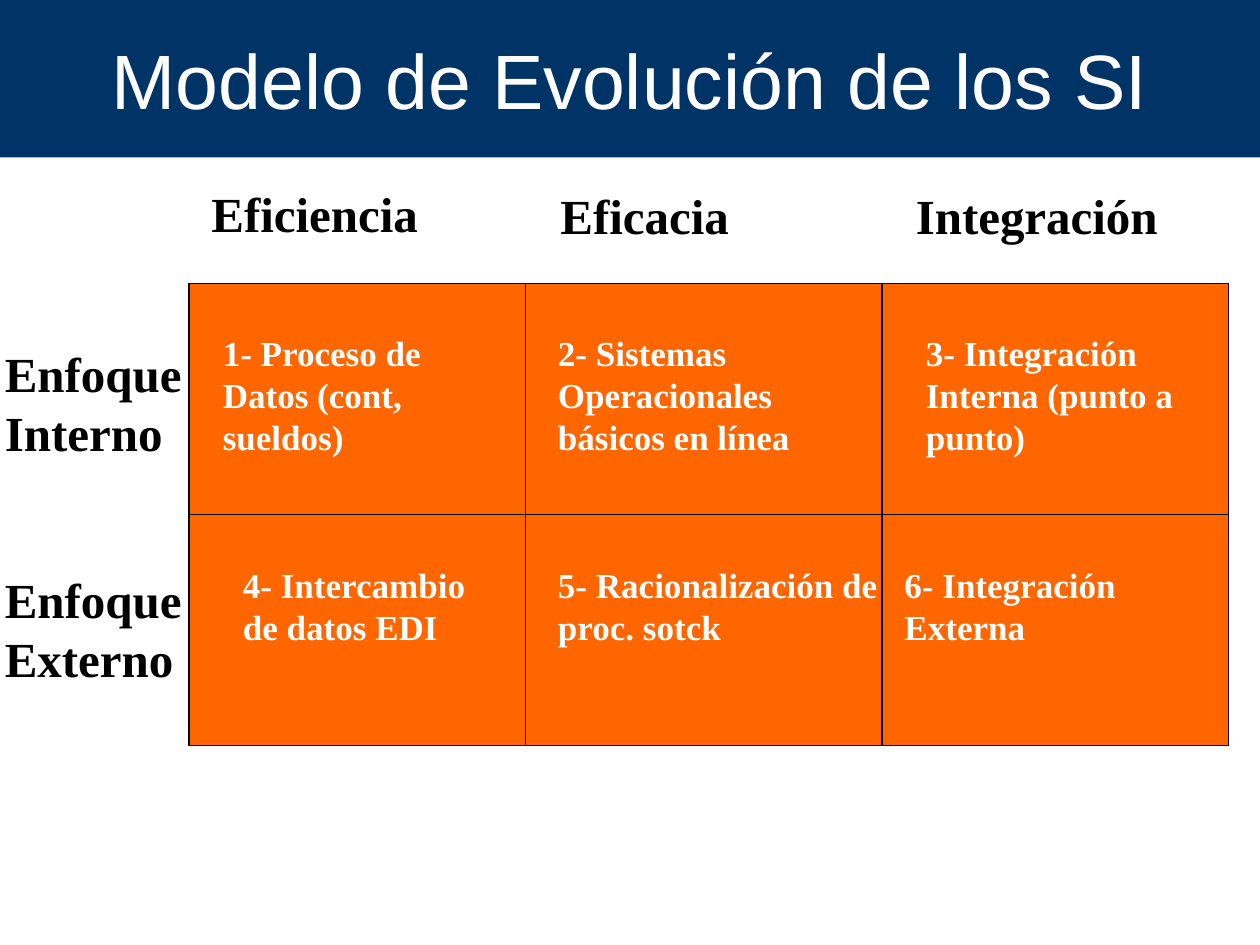
from lxml import etree
from pptx import Presentation
from pptx import util as u
from pptx.dml.color import RGBColor
from pptx.enum import shapes, text
from pptx.oxml.ns import qn

NAVY = RGBColor(0x00, 0x33, 0x66)
ORANGE = RGBColor(0xFF, 0x66, 0x00)
BLACK = RGBColor(0, 0, 0)
WHITE = RGBColor(0xFF, 0xFF, 0xFF)

TITLE = {"name": "Arial", "size": u.Pt(44), "bold": False}
HEADING = {"name": "Times New Roman", "size": u.Pt(28), "bold": True}
ENTRY = {"name": "Times New Roman", "size": u.Pt(20), "bold": True}

LEFT, TOP, WIDTH, HEIGHT = 1.5, 2.25, 8.25, 3.67
COLUMN_EDGES = (4.17, 7)

COLUMN_HEADINGS = [
    (1.58, 1.41, 1.85, "Eficiencia"),
    (4.35, 1.42, 1.56, "Eficacia"),
    (7.17, 1.42, 2.14, "Integración"),
]
ROW_HEADINGS = [(2.68, "Enfoque\nInterno"), (4.47, "Enfoque\nExterno")]

# Each row: top, height, then left, width and wording of its entries
ENTRY_ROWS = [
    (2.58, 1.1, [
        (1.67, 2.17, "1- Proceso de Datos (cont, sueldos)"),
        (4.33, 2.17, "2- Sistemas Operacionales básicos en línea"),
        (7.25, 2.17, "3- Integración Interna (punto a punto)"),
    ]),
    (4.42, 0.77, [
        (1.83, 2.17, "4- Intercambio de datos EDI"),
        (4.33, 2.75, "5- Racionalización de proc. sotck"),
        (7.08, 2.75, "6- Integración Externa"),
    ]),
]


def format_font(font, values, color):
    for name, value in values.items():
        setattr(font, name, value)
    font.color.rgb = color


def add_title(slide, wording):
    title = slide.shapes.title
    title.left, title.top = u.Inches(0), u.Inches(0)
    title.width, title.height = u.Inches(10), u.Inches(1.25)
    title.fill.solid()
    title.fill.fore_color.rgb = NAVY
    frame = title.text_frame
    frame.text = wording
    frame.auto_size = text.MSO_AUTO_SIZE.NONE
    frame.vertical_anchor = text.MSO_ANCHOR.MIDDLE
    para = frame.paragraphs[0]
    para.alignment = text.PP_ALIGN.CENTER
    format_font(para.font, TITLE, WHITE)


def add_matrix(slide):
    matrix = slide.shapes.add_shape(
        shapes.MSO_SHAPE.RECTANGLE,
        u.Inches(LEFT), u.Inches(TOP), u.Inches(WIDTH), u.Inches(HEIGHT))
    matrix.shadow.inherit = False
    matrix.fill.solid()
    matrix.fill.fore_color.rgb = ORANGE
    matrix.line.color.rgb = BLACK
    matrix.line.width = u.Pt(0.75)
    return matrix


def add_divider(slide, x1, y1, x2, y2):
    divider = slide.shapes.add_connector(
        shapes.MSO_CONNECTOR.STRAIGHT,
        u.Inches(x1), u.Inches(y1), u.Inches(x2), u.Inches(y2))
    divider.line.color.rgb = BLACK
    divider.line.width = u.Pt(0.75)
    etree.SubElement(divider._element.spPr, qn("a:effectLst"))
    return divider


def add_text(slide, left, top, width, height, wording, values, color, wrap):
    box = slide.shapes.add_textbox(
        u.Inches(left), u.Inches(top), u.Inches(width), u.Inches(height))
    frame = box.text_frame
    frame.text = wording
    frame.word_wrap = wrap
    frame.auto_size = text.MSO_AUTO_SIZE.SHAPE_TO_FIT_TEXT
    for para in frame.paragraphs:
        format_font(para.font, values, color)


def main():
    deck = Presentation()
    deck.slide_width, deck.slide_height = u.Inches(10), u.Inches(7.5)
    slide = deck.slides.add_slide(deck.slide_layouts[5])
    add_title(slide, "Modelo de Evolución de los SI")

    # Matrix with its dividers
    matrix = add_matrix(slide)
    for x in COLUMN_EDGES:
        add_divider(slide, x, TOP, x, TOP + HEIGHT)
    middle = TOP + HEIGHT / 2
    row_divider = add_divider(slide, LEFT, middle, LEFT + WIDTH, middle)
    row_divider.begin_connect(matrix, 1)
    row_divider.end_connect(matrix, 3)

    # Entries of the matrix
    for top, height, entries in ENTRY_ROWS:
        for left, width, wording in entries:
            add_text(slide, left, top, width, height, wording, ENTRY, WHITE, True)

    # Headings of columns and rows
    for left, top, width, wording in COLUMN_HEADINGS:
        add_text(slide, left, top, width, 0.57, wording, HEADING, BLACK, False)
    for top, wording in ROW_HEADINGS:
        add_text(slide, -0.06, top, 1.6, 1.04, wording, HEADING, BLACK, False)

    deck.save("out.pptx")


if __name__ == "__main__":
    main()
